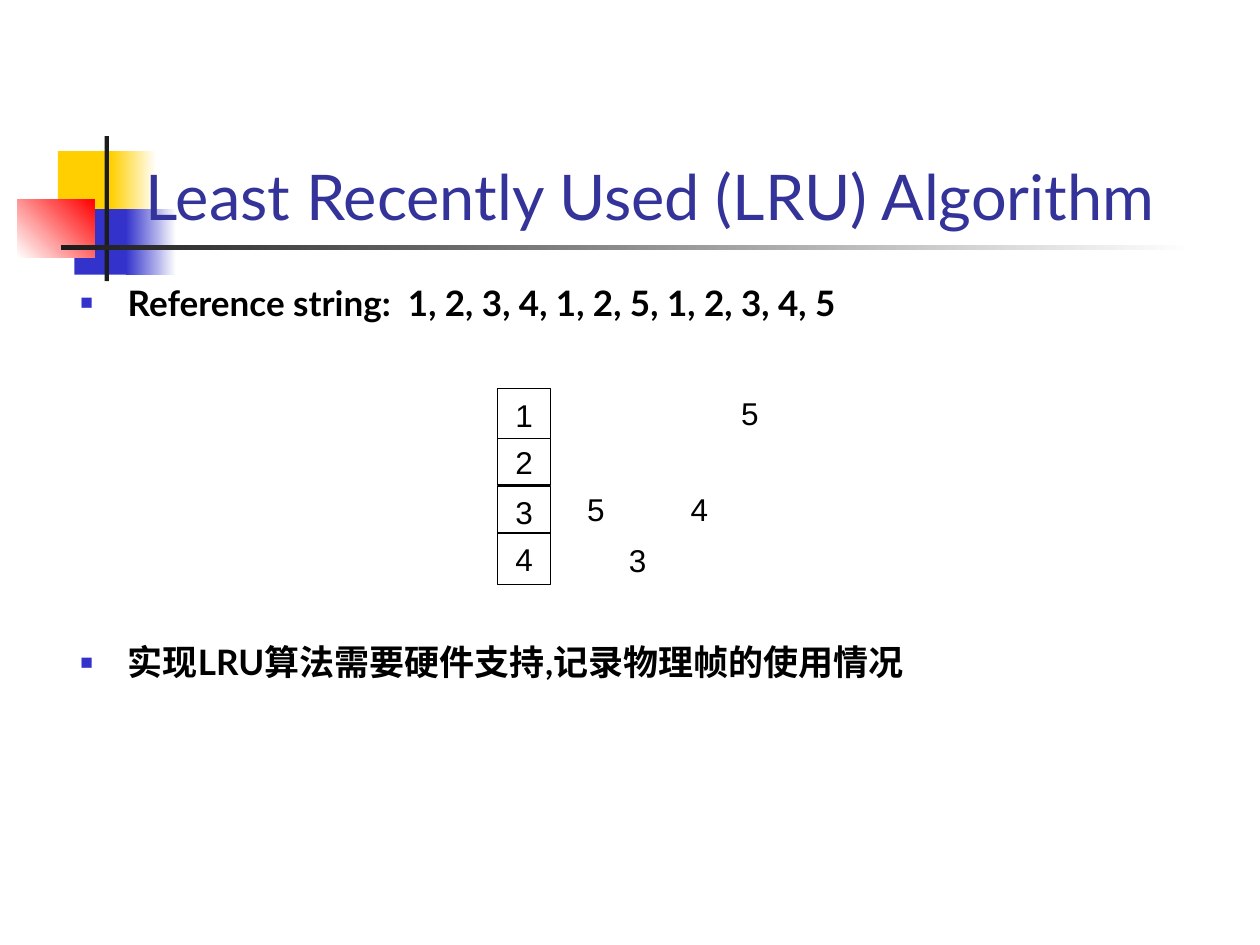
from pptx import Presentation
from pptx.dml.color import RGBColor
from pptx.enum.shapes import MSO_SHAPE
from pptx.enum.text import MSO_ANCHOR, PP_ALIGN
from pptx.util import Pt
from lxml import etree

RECT = MSO_SHAPE.RECTANGLE
TOP, MIDDLE, BOTTOM = MSO_ANCHOR.TOP, MSO_ANCHOR.MIDDLE, MSO_ANCHOR.BOTTOM
CENTER = PP_ALIGN.CENTER
NS = "http://schemas.openxmlformats.org/drawingml/2006/main"


def rgb(value):
    return RGBColor.from_string(value)


def add_text(tf, p, text, font, size, color, anchor, bold=False):
    tf.vertical_anchor = anchor
    r = p.add_run()
    r.text = text
    r.font.name = font
    r.font.size = Pt(size)
    r.font.bold = bold
    r.font.color.rgb = rgb(color)


prs = Presentation()
prs.slide_width, prs.slide_height = Pt(720), Pt(540)
s = prs.slides.add_slide(prs.slide_layouts[6])

decorations = [
    (33.1, 86.4, 34.6, 37.4, ["FFCF01"], 0),
    (63.4, 86.4, 25.9, 37.4, ["FFCF01", "FFFFFF"], 0),
    (42.5, 119.5, 33.1, 37.4, ["3333CC"], 0),
    (72, 119.5, 28.8, 37.4, ["3333CC", "FFFFFF"], 0),
    (10, 113.8, 44, 33.1, ["FFFFFF", "FF0000"], 45),
    (59.8, 77.8, 2.4, 82.8, ["1C1C1C"], 0),
    (34.6, 140.2, 648, 2.4, ["1C1C1C", "FFFFFF"], 0),
]
for x, y, w, h, colors, angle in decorations:
    sp = s.shapes.add_shape(RECT, Pt(x), Pt(y), Pt(w), Pt(h))
    sp.shadow.inherit = False
    sp.line.fill.background()
    if len(colors) == 1:
        sp.fill.solid()
        sp.fill.fore_color.rgb = rgb(colors[0])
    else:
        sp.fill.gradient()
        sp.fill.gradient_angle = angle
        for stop, color in zip(sp.fill.gradient_stops, colors):
            stop.color.rgb = rgb(color)

title = s.shapes.add_textbox(Pt(76.3), Pt(21.6), Pt(613.4), Pt(115.2))
tf = title.text_frame
tf.word_wrap = True
add_text(tf, tf.paragraphs[0], "Least Recently Used (LRU) Algorithm",
         "Lato", 36, "333399", BOTTOM)

body = s.shapes.add_textbox(Pt(38.9), Pt(159.8), Pt(665.3), Pt(347))
tf = body.text_frame
tf.word_wrap = True
bullets = [
    ("Reference string:  1, 2, 3, 4, 1, 2, 5, 1, 2, 3, 4, 5", 5),
    ("实现LRU算法需要硬件支持,记录物理帧的使用情况".replace(",", ","), 184),
]
for i, (text, gap) in enumerate(bullets):
    p = tf.add_paragraph() if i else tf.paragraphs[0]
    p.line_spacing = 0.9
    p.space_before = Pt(gap)
    pPr = p._p.get_or_add_pPr()
    pPr.set("marL", str(Pt(27)))
    pPr.set("indent", str(-Pt(27)))
    buClr = etree.SubElement(pPr, f"{{{NS}}}buClr")
    etree.SubElement(buClr, f"{{{NS}}}srgbClr", val="3333CC")
    etree.SubElement(pPr, f"{{{NS}}}buSzPct", val="60000")
    etree.SubElement(pPr, f"{{{NS}}}buFont", typeface="Arial")
    etree.SubElement(pPr, f"{{{NS}}}buChar", char="■")
    add_text(tf, p, text, "Lato", 20, "000000", TOP, True)

frames = [("1", 221.8, 30.2), ("2", 250.6, 26.6),
          ("3", 277.9, 29.5), ("4", 304.6, 29.5)]
for text, y, h in frames:
    sp = s.shapes.add_shape(RECT, Pt(284.4), Pt(y), Pt(30.2), Pt(h))
    sp.shadow.inherit = False
    sp.fill.solid()
    sp.fill.fore_color.rgb = rgb("FFFFFF")
    sp.line.color.rgb = rgb("000000")
    sp.line.width = Pt(0.74)
    tf = sp.text_frame
    tf.word_wrap = False
    p = tf.paragraphs[0]
    p.alignment = CENTER
    add_text(tf, p, text, "Arial", 18, "000000", MIDDLE)

replacements = [("5", 416.2, 221.8), ("4", 387.4, 276.5),
                ("3", 352.1, 305.3), ("5", 328.3, 276.5)]
for text, x, y in replacements:
    tb = s.shapes.add_textbox(Pt(x), Pt(y), Pt(24.5), Pt(28.8))
    tf = tb.text_frame
    tf.word_wrap = True
    p = tf.paragraphs[0]
    p.alignment = CENTER
    add_text(tf, p, text, "Arial", 18, "000000", MIDDLE)

prs.save("out.pptx")
